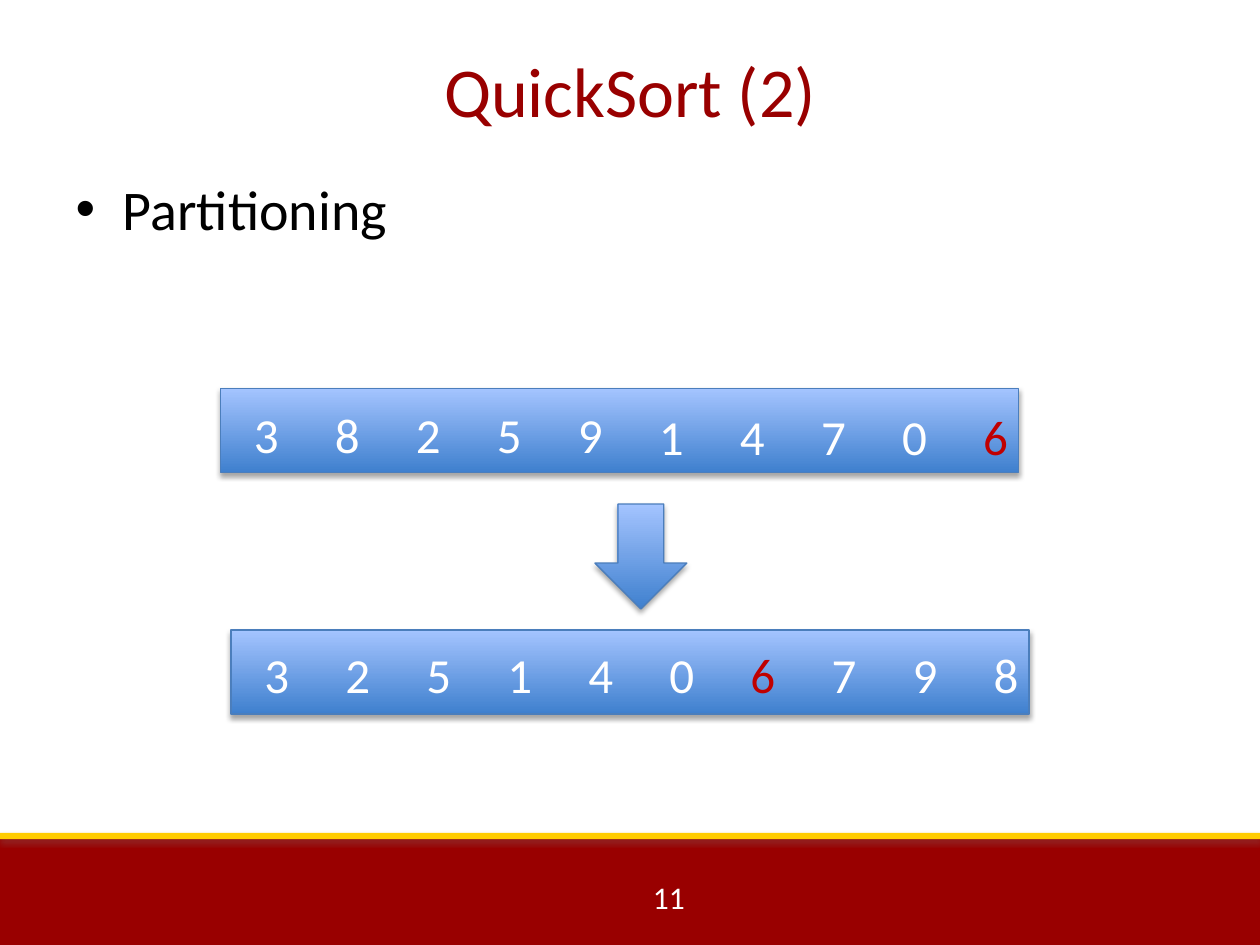
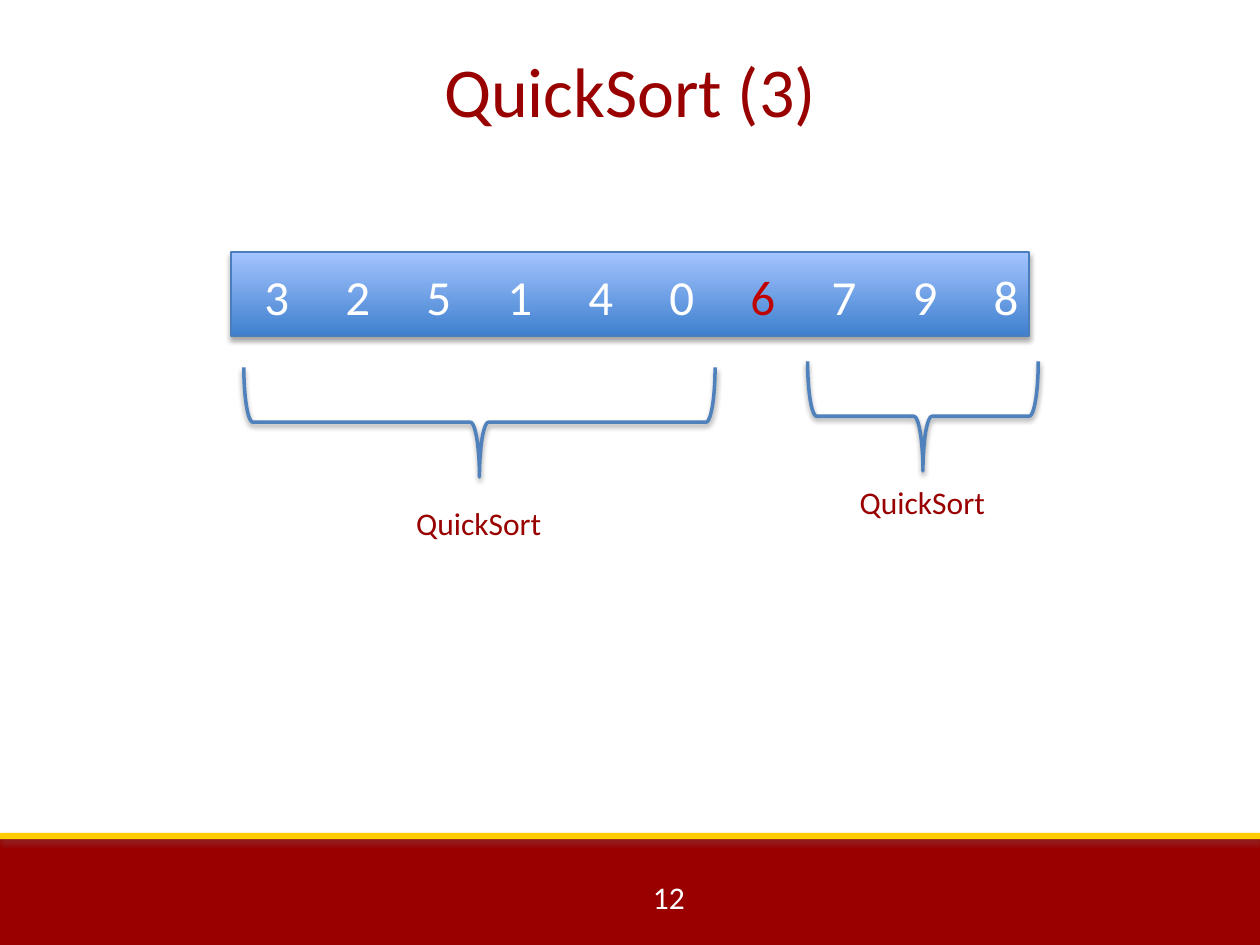
from dataclasses import dataclass

from lxml import etree
from pptx import Presentation
from pptx.dml.color import RGBColor
from pptx.enum.shapes import MSO_SHAPE
from pptx.enum.text import MSO_ANCHOR, MSO_AUTO_SIZE, PP_ALIGN
from pptx.oxml.ns import qn
from pptx.util import Pt

RECTANGLE = MSO_SHAPE.RECTANGLE
DOWN_ARROW = MSO_SHAPE.DOWN_ARROW
RIGHT_BRACE = MSO_SHAPE.RIGHT_BRACE
MIDDLE = MSO_ANCHOR.MIDDLE
CENTER = PP_ALIGN.CENTER
FIT_SHAPE = MSO_AUTO_SIZE.SHAPE_TO_FIT_TEXT


# Theme
@dataclass(frozen=True)
class Theme:
    font: str = "Calibri"
    crimson: str = "990000"
    gold: str = "FFCC00"
    white: str = "FFFFFF"
    black: str = "000000"
    pivot: str = "C00000"
    blue_dark: str = "3F80CE"
    blue_light: str = "A4C4FF"
    outline: str = "4B7EBC"
    brace: str = "4F81BD"
    title_size: int = 40
    body_size: int = 32
    digit_size: int = 28
    small_size: int = 18
    # Shadows: colour, opacity in percent, distance in points
    block_shadow: tuple = ("000000", 35, 1.8)
    band_shadow: tuple = ("808080", 35, 1.8)
    stripe_shadow: tuple = ("808080", 38, 1.6)
    brace_shadow: tuple = ("000000", 38, 1.6)


THEME = Theme()

# Content, lengths in points
PIVOT = 6
UNSORTED = [3, 8, 2, 5, 9, 1, 4, 7, 0, 6]
PARTITIONED = [3, 2, 5, 1, 4, 0, 6, 7, 9, 8]

SLIDES = [
    {
        "number": 11,
        "title": "QuickSort (2)",
        "bullets": ["Partitioning"],
        # digit_drops: distance from bar top to digits, first and second half
        "arrays": [
            {"values": UNSORTED, "at": (126, 222), "digit_drops": (5.5, 7)},
            {"values": PARTITIONED, "at": (132, 360), "digit_drops": (5, 5)},
        ],
        "arrow": (340, 288, 52.5, 60),
    },
    {
        "number": 12,
        "title": "QuickSort (3)",
        "arrays": [
            {"values": PARTITIONED, "at": (132, 144), "digit_drops": (5, 5)},
        ],
        "braces": [
            {"label": "QuickSort", "at": (139.3, 210), "span": 269.3, "label_top": 284.4},
            {"label": "QuickSort", "at": (461.5, 206.6), "span": 131.8, "label_top": 272.2},
        ],
    },
]

# Layout
SLIDE_SIZE = (720, 540)
TITLE_BOX = (36, 6, 648, 90)
BODY_BOX = (36, 96, 648, 342)
BAND_BOX = (0, 478, 720, 62)
STRIPE_BOX = (0, 476, 720, 3.6)
NUMBER_BOX = (366, 498, 36, 29)
BAR_SIZE = (456, 48)
DIGIT_SIZE = (33, 41)
DIGIT_INSET = 12
DIGIT_PITCH = 46.3
BRACE_DEPTH = 62.6
LABEL_SIZE = (86.4, 29)


def points(box):
    return [Pt(length) for length in box]


def rgb(colour):
    return RGBColor.from_string(colour)


def style(paragraph, size, colour):
    paragraph.font.name = THEME.font
    paragraph.font.size = Pt(size)
    paragraph.font.color.rgb = rgb(colour)


def add_shadow(shape, colour, opacity, distance):
    shape.shadow.inherit = False
    effects = shape._element.spPr.find(qn("a:effectLst"))
    outer = etree.SubElement(
        effects, qn("a:outerShdw"), blurRad=str(Pt(3.1)), dist=str(Pt(distance)),
        dir="5400000", algn="ctr", rotWithShape="0")
    tint = etree.SubElement(outer, qn("a:srgbClr"), val=colour)
    etree.SubElement(tint, qn("a:alpha"), val=str(opacity * 1000))


def add_text(slide, text, box, size, colour, wrap=False):
    frame = slide.shapes.add_textbox(*points(box)).text_frame
    frame.word_wrap = wrap
    frame.auto_size = FIT_SHAPE
    frame.text = str(text)
    style(frame.paragraphs[0], size, colour)


def add_band(slide, box, colour, shadow):
    band = slide.shapes.add_shape(RECTANGLE, *points(box))
    band.fill.solid()
    band.fill.fore_color.rgb = rgb(colour)
    band.line.fill.background()
    add_shadow(band, *shadow)


def add_block(slide, preset, box):
    """Blue gradient block, dark at the bottom and light at the top."""
    block = slide.shapes.add_shape(preset, *points(box))
    block.fill.gradient()
    block.fill.gradient_angle = 90
    for stop, colour in zip(block.fill.gradient_stops, (THEME.blue_dark, THEME.blue_light)):
        stop.color.rgb = rgb(colour)
    block.line.color.rgb = rgb(THEME.outline)
    block.line.width = Pt(0.75)
    add_shadow(block, *THEME.block_shadow)


def add_array(slide, values, at, digit_drops):
    left, top = at
    add_block(slide, RECTANGLE, (left, top, *BAR_SIZE))
    half = len(values) // 2
    for index, value in enumerate(values):
        box = (left + DIGIT_INSET + index * DIGIT_PITCH, top + digit_drops[index // half], *DIGIT_SIZE)
        colour = THEME.pivot if value == PIVOT else THEME.white
        add_text(slide, value, box, THEME.digit_size, colour, wrap=True)


def add_brace(slide, label, at, span, label_top):
    """Brace opening upwards, with its label centred below."""
    left, top = at
    middle_x, middle_y = left + span / 2, top + BRACE_DEPTH / 2
    box = (middle_x - BRACE_DEPTH / 2, middle_y - span / 2, BRACE_DEPTH, span)
    brace = slide.shapes.add_shape(RIGHT_BRACE, *points(box))
    brace.rotation = 90
    brace.fill.background()
    brace.line.color.rgb = rgb(THEME.brace)
    brace.line.width = Pt(2)
    add_shadow(brace, *THEME.brace_shadow)
    label_box = (middle_x - LABEL_SIZE[0] / 2, label_top, *LABEL_SIZE)
    add_text(slide, label, label_box, THEME.small_size, THEME.crimson)


def place(placeholder, box):
    placeholder.left, placeholder.top, placeholder.width, placeholder.height = points(box)
    return placeholder.text_frame


def build_slide(deck, content):
    bullets = content.get("bullets", [])
    slide = deck.slides.add_slide(deck.slide_layouts[1 if bullets else 5])

    # Footer
    add_band(slide, BAND_BOX, THEME.crimson, THEME.band_shadow)
    add_band(slide, STRIPE_BOX, THEME.gold, THEME.stripe_shadow)
    add_text(slide, content["number"], NUMBER_BOX, THEME.small_size, THEME.white)

    # Title and list
    heading = place(slide.shapes.title, TITLE_BOX)
    heading.text = content["title"]
    heading.vertical_anchor = MIDDLE
    heading.paragraphs[0].alignment = CENTER
    style(heading.paragraphs[0], THEME.title_size, THEME.crimson)
    if bullets:
        body = place(slide.placeholders[1], BODY_BOX)
        body.text = "\n".join(bullets)
        for bullet in body.paragraphs:
            style(bullet, THEME.body_size, THEME.black)

    # Diagram
    for array in content["arrays"]:
        add_array(slide, **array)
    if "arrow" in content:
        add_block(slide, DOWN_ARROW, content["arrow"])
    for brace in content.get("braces", []):
        add_brace(slide, **brace)


def main():
    deck = Presentation()
    deck.slide_width, deck.slide_height = points(SLIDE_SIZE)
    for content in SLIDES:
        build_slide(deck, content)
    deck.save("out.pptx")


if __name__ == "__main__":
    main()
